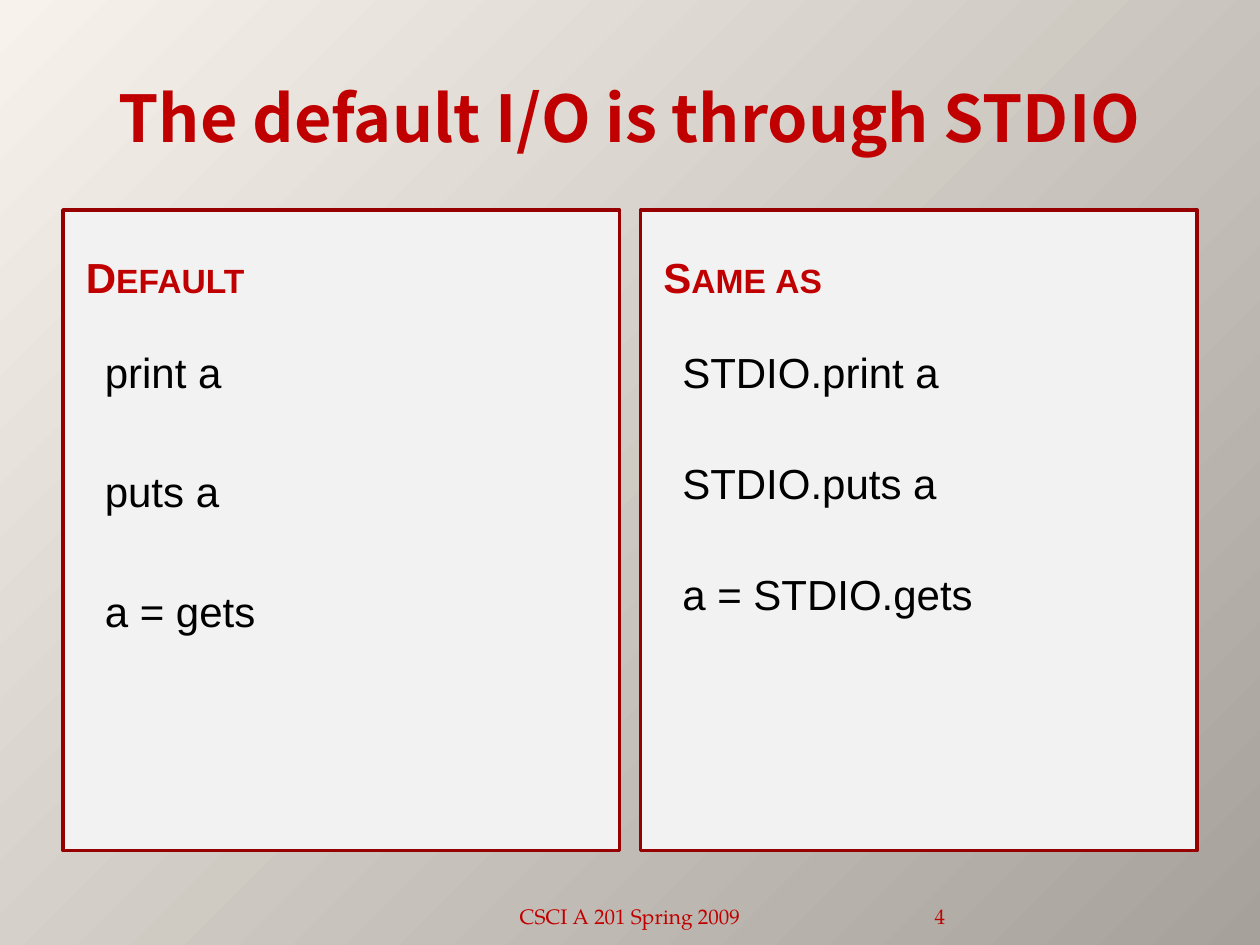
from dataclasses import dataclass

from lxml import etree
from pptx import Presentation
from pptx.dml.color import RGBColor
from pptx.enum.shapes import MSO_SHAPE
from pptx.enum.text import MSO_ANCHOR, PP_ALIGN
from pptx.oxml.ns import qn
from pptx.util import Pt

RECT = MSO_SHAPE.RECTANGLE
TOP, MIDDLE, BOTTOM = MSO_ANCHOR.TOP, MSO_ANCHOR.MIDDLE, MSO_ANCHOR.BOTTOM
LEFT, CENTER, RIGHT = PP_ALIGN.LEFT, PP_ALIGN.CENTER, PP_ALIGN.RIGHT


@dataclass(frozen=True)
class Theme:
    """Colours, fonts and type sizes of the slide."""
    light: str = "F7F3EC"
    dark: str = "A6A29B"
    panel: str = "F2F2F2"
    border: str = "970000"
    accent: str = "C00000"
    ink: str = "000000"
    title_font: str = "Noto Sans CJK SC"
    body_font: str = "Arial"
    footer_font: str = "TeX Gyre Pagella"
    title_size: float = 36.9
    body_size: float = 24
    footer_size: float = 12


THEME = Theme()
PANEL_W, PANEL_TOP, PANEL_H, PAD = 318, 120, 366, 6
HEADING_H, BODY_TOP, BODY_H = 60, 192, 288
PANELS = [
    (36, "Default", ["print a", "puts a", "a = gets"], 39.5),
    (366, "Same as", ["STDIO.print a", "STDIO.puts a", "a = STDIO.gets"], 34.7),
]


def set_background(slide):
    """Spread a circular gradient from the top left corner."""
    fill = slide.background.fill
    fill.gradient()
    for stop, color in zip(fill.gradient_stops, (THEME.light, THEME.dark)):
        stop.color.rgb = RGBColor.from_string(color)
    lin = next(slide.background._cSld.iter(qn("a:lin")))
    grad = lin.getparent()
    grad.remove(lin)
    path = etree.SubElement(grad, qn("a:path"), path="circle")
    etree.SubElement(path, qn("a:fillToRect"), r="100000", b="100000")


def add_panel(slide, left):
    """Draw one bordered panel."""
    sp = slide.shapes.add_shape(RECT, Pt(left), Pt(PANEL_TOP), Pt(PANEL_W), Pt(PANEL_H))
    sp.shadow.inherit = False
    sp.fill.solid()
    sp.fill.fore_color.rgb = RGBColor.from_string(THEME.panel)
    sp.line.color.rgb = RGBColor.from_string(THEME.border)
    sp.line.width = Pt(2)


def add_text(slide, box, lines, *, font, size, color, bold=None, small_caps=False,
             align=LEFT, anchor=TOP, gap=0, hang=None, side=7.2, top=3.6):
    """Add a text box with one paragraph per line."""
    sp = slide.shapes.add_textbox(*map(Pt, box))
    tf = sp.text_frame
    tf.word_wrap = True
    tf.vertical_anchor = anchor
    tf.margin_left = tf.margin_right = Pt(side)
    tf.margin_top = Pt(top)
    for i, line in enumerate(lines):
        p = tf.add_paragraph() if i else tf.paragraphs[0]
        p.alignment = align
        if i:
            p.space_before = Pt(gap)
        if hang:
            pPr = p._p.get_or_add_pPr()
            pPr.set("marL", str(Pt(hang[0])))
            pPr.set("indent", str(Pt(hang[1])))
        r = p.add_run()
        r.text = line
        r.font.name = font
        r.font.size = Pt(size)
        r.font.bold = bold
        r.font.color.rgb = RGBColor.from_string(color)
        if small_caps:
            r.font._element.set("cap", "small")


def main():
    """Build the slide and save it."""
    prs = Presentation()
    prs.slide_width, prs.slide_height = Pt(720), Pt(540)
    slide = prs.slides.add_slide(prs.slide_layouts[6])
    set_background(slide)
    add_text(slide, (36, 21.6, 648, 90), ["The default I/O is through STDIO"],
             font=THEME.title_font, size=THEME.title_size, color=THEME.accent,
             bold=True, align=CENTER, anchor=MIDDLE)
    for left, heading, lines, gap in PANELS:
        add_panel(slide, left)
        x, w = left + PAD, PANEL_W - 2 * PAD
        add_text(slide, (x, PANEL_TOP + PAD, w, HEADING_H), [heading],
                 font=THEME.body_font, size=THEME.body_size, color=THEME.accent,
                 bold=True, small_caps=True, anchor=MIDDLE, top=7.2)
        add_text(slide, (x, BODY_TOP, w, BODY_H), lines, font=THEME.body_font,
                 size=THEME.body_size, color=THEME.ink, gap=gap,
                 hang=(43.2, -32.4), top=6)
    footer = dict(font=THEME.footer_font, size=THEME.footer_size,
                  color=THEME.accent, anchor=BOTTOM)
    add_text(slide, (246, 505.5, 228, 28.8), ["CSCI A 201 Spring 2009"],
             align=CENTER, **footer)
    add_text(slide, (480, 505.5, 60, 28.8), ["4"], align=RIGHT, side=0, **footer)
    prs.save("out.pptx")


if __name__ == "__main__":
    main()
